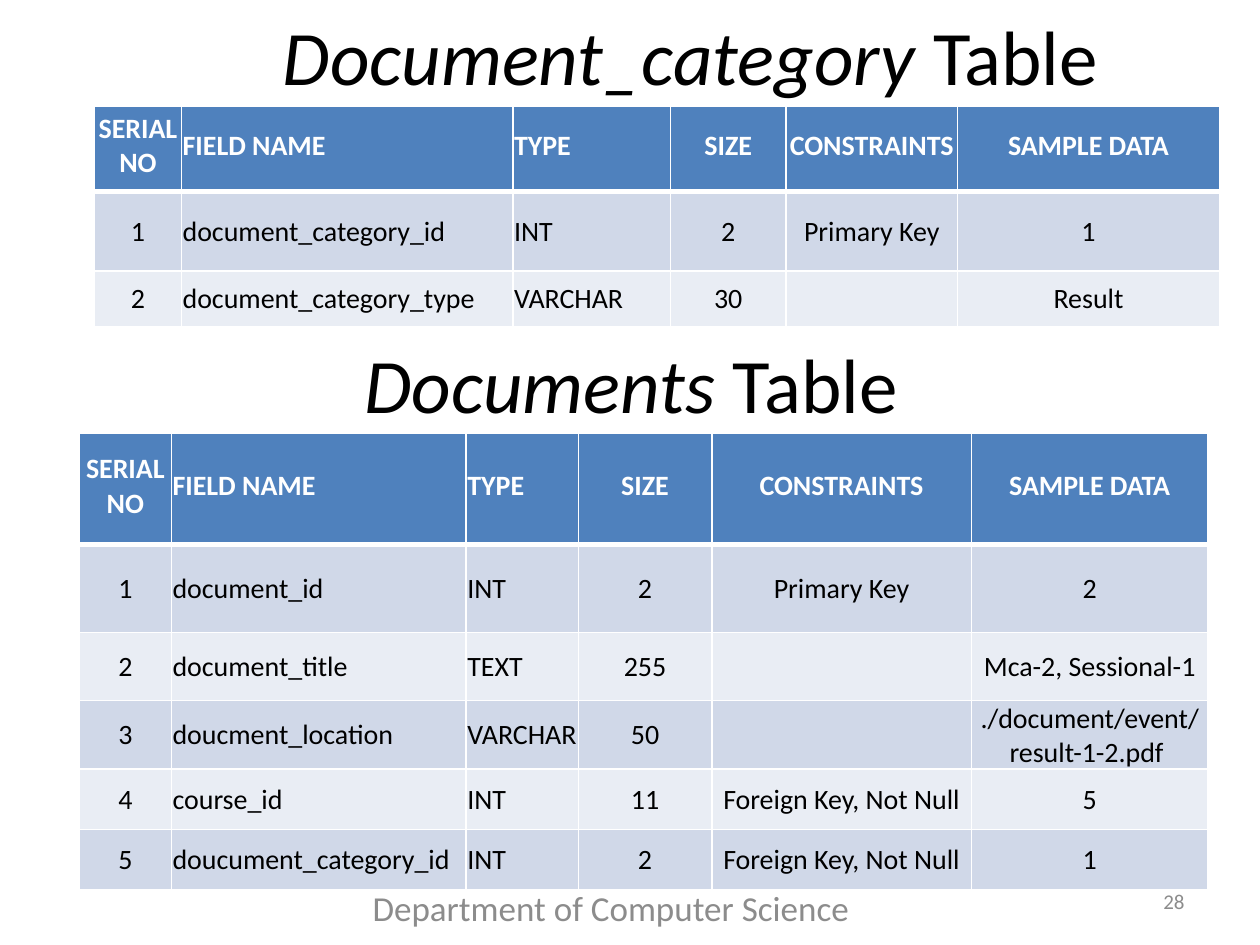
from lxml import etree
from pptx import Presentation
from pptx.dml.color import RGBColor
from pptx.enum.text import MSO_ANCHOR, PP_ALIGN
from pptx.oxml.ns import qn
from pptx.util import Inches, Pt

LEFT, CENTER, RIGHT = PP_ALIGN.LEFT, PP_ALIGN.CENTER, PP_ALIGN.RIGHT
MIDDLE = MSO_ANCHOR.MIDDLE
TITLE_ONLY = 5
FONT = "Calibri"
COLORS = {"text": "000000", "white": "FFFFFF", "header": "4F81BD",
          "odd": "D0D8E8", "even": "E9EDF4", "footer": "8C8C8C"}

HEADINGS = ["SERIAL NO", "FIELD NAME", "TYPE", "SIZE", "CONSTRAINTS", "SAMPLE DATA"]
ALIGNMENTS = [CENTER, LEFT, LEFT, CENTER, CENTER, CENTER]
TITLE_SIZE = (9, 1.25)

# Each row is field name, type, size, constraints, sample data; serials are counted.
CATEGORY = {
    "title": [("Document_category ", True), ("Table", False)],
    "title_at": (0.98, -0.19),
    "at": (0.75, 0.84),
    "columns": [0.69, 2.63, 1.25, 0.92, 1.36, 2.08],
    "heights": [0.68, 0.63, 0.44],
    "rows": [
        ("document_category_id", "INT", "2", "Primary Key", "1"),
        ("document_category_type", "VARCHAR", "30", "", "Result"),
    ],
}
DOCUMENTS = {
    "title": [("Documents", True), (" Table", False)],
    "title_at": (0.51, 2.41),
    "at": (0.63, 3.44),
    "columns": [0.73, 2.34, 0.89, 1.06, 2.06, 1.88],
    "heights": [0.88, 0.7, 0.54, 0.48, 0.48, 0.48],
    "rows": [
        ("document_id", "INT", "2", "Primary Key", "2"),
        ("document_title", "TEXT", "255", "", "Mca-2, Sessional-1"),
        ("doucment_location", "VARCHAR", "50", "", "./document/event/result-1-2.pdf "),
        ("course_id", "INT", "11", "Foreign Key, Not Null", "5"),
        ("doucument_category_id", "INT", "2", "Foreign Key, Not Null", "1"),
    ],
}
# text, (left, top, width, height), point size, alignment
FOOTERS = [
    ("Department of Computer Science ", (2.67, 7, 4.42, 0.4), 20, CENTER),
    ("28", (7.17, 6.95, 2.33, 0.4), 12, RIGHT),
]


def style_font(font, size, color, bold=False, italic=False):
    font.name, font.size, font.bold, font.italic = FONT, Pt(size), bold, italic
    font.color.rgb = RGBColor.from_string(COLORS[color])


def fill_frame(shape, spans, size, color, alignment):
    """Write (text, italic) spans as the one paragraph of a shape."""
    frame = shape.text_frame
    frame.word_wrap = True
    frame.vertical_anchor = MIDDLE
    para = frame.paragraphs[0]
    para.alignment = alignment
    for text, italic in spans:
        span = para.add_run()
        span.text = text
        style_font(span.font, size, color, italic=italic)


def add_header_borders(cell):
    properties = cell._tc.get_or_add_tcPr()
    for index, (side, points) in enumerate([("L", 1), ("R", 1), ("T", 1), ("B", 3)]):
        line = etree.Element(qn(f"a:ln{side}"), w=str(Pt(points)))
        fill = etree.SubElement(line, qn("a:solidFill"))
        etree.SubElement(fill, qn("a:srgbClr"), val=COLORS["white"])
        properties.insert(index, line)


def format_cell(cell, text, alignment, row):
    is_header = row == 0
    shade = "header" if is_header else ("odd" if row % 2 else "even")
    cell.fill.solid()
    cell.fill.fore_color.rgb = RGBColor.from_string(COLORS[shade])
    cell.vertical_anchor = MIDDLE
    cell.margin_left = cell.margin_right = cell.margin_top = Inches(0.01)
    cell.margin_bottom = Inches(0.05 if is_header else 0)
    cell.text = text
    para = cell.text_frame.paragraphs[0]
    para.alignment = alignment
    for span in para.runs:
        style_font(span.font, 16, "white" if is_header else "text", bold=is_header)
    if is_header:
        add_header_borders(cell)


def add_field_table(slide, data):
    rows = [HEADINGS] + [(str(n), *row) for n, row in enumerate(data["rows"], 1)]
    size = (sum(data["columns"]), sum(data["heights"]))
    table = slide.shapes.add_table(
        len(rows), len(HEADINGS), *map(Inches, data["at"] + size)).table
    for column, width in zip(table.columns, data["columns"]):
        column.width = Inches(width)
    for r, (values, height) in enumerate(zip(rows, data["heights"])):
        table.rows[r].height = Inches(height)
        for c, (text, alignment) in enumerate(zip(values, ALIGNMENTS)):
            format_cell(table.cell(r, c), text, alignment, r)


def add_text(slide, at, spans, size, color, alignment):
    box = slide.shapes.add_textbox(*map(Inches, at))
    fill_frame(box, spans, size, color, alignment)


def main():
    deck = Presentation()
    deck.slide_width, deck.slide_height = Inches(10), Inches(7.5)
    slide = deck.slides.add_slide(deck.slide_layouts[TITLE_ONLY])

    title = slide.shapes.title
    title.left, title.top, title.width, title.height = map(
        Inches, DOCUMENTS["title_at"] + TITLE_SIZE)
    fill_frame(title, DOCUMENTS["title"], 44, "text", CENTER)
    for text, at, size, alignment in FOOTERS:
        add_text(slide, at, [(text, False)], size, "footer", alignment)

    add_field_table(slide, CATEGORY)
    add_text(slide, CATEGORY["title_at"] + TITLE_SIZE, CATEGORY["title"],
             44, "text", CENTER)
    add_field_table(slide, DOCUMENTS)
    deck.save("out.pptx")


if __name__ == "__main__":
    main()
